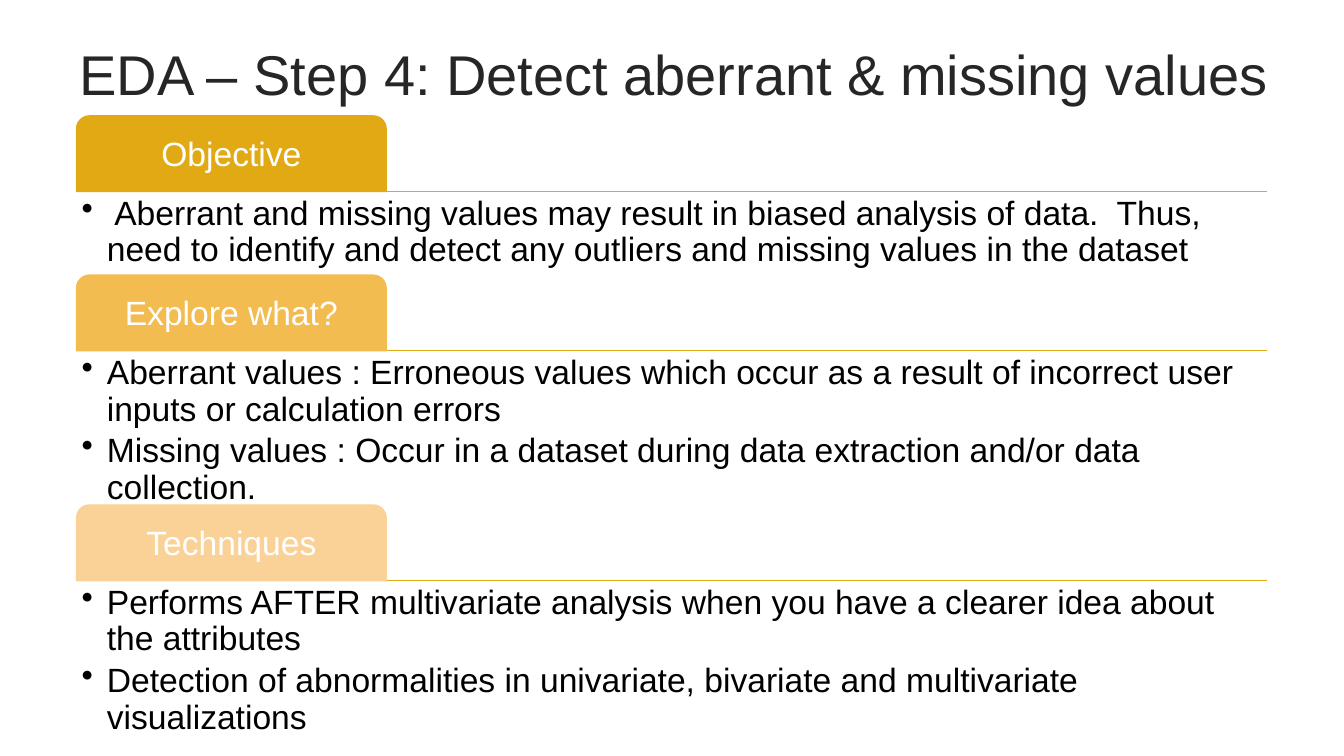
"""Build the slide on detecting aberrant and missing values."""
from dataclasses import dataclass

from lxml import etree
from pptx import Presentation
from pptx.dml.color import RGBColor
from pptx.enum.shapes import MSO_CONNECTOR, MSO_SHAPE
from pptx.enum.text import MSO_ANCHOR, MSO_AUTO_SIZE, PP_ALIGN
from pptx.oxml.ns import qn
from pptx.slide import Slide
from pptx.text.text import TextFrame, _Paragraph
from pptx.util import Emu, Pt

PX = 9144
FONT = "Arial"
LEFT, WIDE = 76, 1181
TAB_W, TAB_H = 307, 75
INSET, INDENT = 5, 25
TAB_TYPE = MSO_SHAPE.ROUND_2_SAME_RECTANGLE
STRAIGHT = MSO_CONNECTOR.STRAIGHT
CENTER, START = PP_ALIGN.CENTER, PP_ALIGN.LEFT
MIDDLE, TOP = MSO_ANCHOR.MIDDLE, MSO_ANCHOR.TOP
NO_FIT = MSO_AUTO_SIZE.NONE
COLORS = {
    "title": "262626",
    "label": "FFFFFF",
    "body": "000000",
    "rule": "E1A914",
    "deep": "E1A914",
    "mid": "F3BC51",
    "pale": "FAD298",
}


@dataclass(frozen=True)
class Section:
    """A coloured tab with a rule and bullets under it."""
    label: str
    color: str
    top: int
    depth: int
    points: tuple[str, ...]


SECTIONS = (
    Section("Objective", "deep", 115, 79, (
        " Aberrant and missing values may result in biased analysis of data.  "
        "Thus, need to identify and detect any outliers and missing values "
        "in the dataset",
    )),
    Section("Explore what?", "mid", 273, 150, (
        "Aberrant values : Erroneous values which occur as a result of "
        "incorrect user inputs or calculation errors",
        "Missing values : Occur in a dataset during data extraction and/or "
        "data collection.",
    )),
    Section("Techniques", "pale", 501, 151, (
        "Performs AFTER multivariate analysis when you have a clearer idea "
        "about the attributes",
        "Detection of abnormalities in univariate, bivariate and multivariate "
        "visualizations",
    )),
)


def px(num: int) -> Emu:
    """Turn px into EMU."""
    return Emu(num * PX)


def rgb(name: str) -> RGBColor:
    """Look up a named colour."""
    return RGBColor.from_string(COLORS[name])


def style(para: _Paragraph, size: int, color: str, align: PP_ALIGN) -> None:
    """Format a paragraph and its runs."""
    para.alignment = align
    para.line_spacing = 0.9
    for run in para.runs:
        run.font.name = FONT
        run.font.size = Pt(size)
        run.font.color.rgb = rgb(color)


def set_frame(frame: TextFrame, anchor: MSO_ANCHOR) -> None:
    """Set wrapping, anchor and insets of a text frame."""
    frame.word_wrap = True
    frame.auto_size = NO_FIT
    frame.vertical_anchor = anchor
    frame.margin_left = frame.margin_right = px(INSET)
    frame.margin_top = frame.margin_bottom = px(INSET)


def add_bullet(para: _Paragraph) -> None:
    """Give a paragraph a hanging bullet."""
    props = para._p.get_or_add_pPr()
    props.set("marL", str(px(INDENT)))
    props.set("indent", str(px(-INDENT)))
    etree.SubElement(props, qn("a:buChar")).set("char", "•")


def add_title(slide: Slide, text: str) -> None:
    """Place and format the title."""
    title = slide.shapes.title
    title.left, title.top = px(35), px(37)
    title.width, title.height = px(1266), px(79)
    frame = title.text_frame
    frame.text = text
    frame.word_wrap = True
    frame.auto_size = NO_FIT
    frame.vertical_anchor = MIDDLE
    style(frame.paragraphs[0], 40, "title", CENTER)


def add_rule(slide: Slide, level: int) -> None:
    """Draw the rule that a tab stands on."""
    rule = slide.shapes.add_connector(
        STRAIGHT, px(LEFT), px(level), px(LEFT + WIDE), px(level))
    rule.line.color.rgb = rgb("rule")
    rule.line.width = Pt(1)
    etree.SubElement(rule._element.spPr, qn("a:effectLst"))


def add_tab(slide: Slide, part: Section) -> None:
    """Draw the labelled tab of a section."""
    tab = slide.shapes.add_shape(
        TAB_TYPE, px(LEFT), px(part.top), px(TAB_W), px(TAB_H))
    tab.shadow.inherit = False
    tab.adjustments[0] = 0.17
    tab.adjustments[1] = 0
    tab.fill.solid()
    tab.fill.fore_color.rgb = rgb(part.color)
    tab.line.color.rgb = rgb(part.color)
    tab.line.width = Pt(1)
    frame = tab.text_frame
    frame.text = part.label
    set_frame(frame, MIDDLE)
    style(frame.paragraphs[0], 24, "label", CENTER)


def add_points(slide: Slide, part: Section) -> None:
    """Write the bullets of a section."""
    box = slide.shapes.add_textbox(
        px(LEFT), px(part.top + TAB_H), px(WIDE), px(part.depth))
    frame = box.text_frame
    frame.text = "\n".join(part.points)
    set_frame(frame, TOP)
    for para in frame.paragraphs:
        add_bullet(para)
        para.space_after = Pt(4)
        style(para, 24, "body", START)


def main() -> None:
    """Build and save the deck."""
    deck = Presentation()
    deck.slide_width, deck.slide_height = px(1333), px(750)
    slide = deck.slides.add_slide(deck.slide_layouts[5])
    add_title(slide, "EDA – Step 4: Detect aberrant & missing values")
    for part in SECTIONS:
        add_rule(slide, part.top + TAB_H)
        add_tab(slide, part)
        add_points(slide, part)
    deck.save("out.pptx")


if __name__ == "__main__":
    main()
